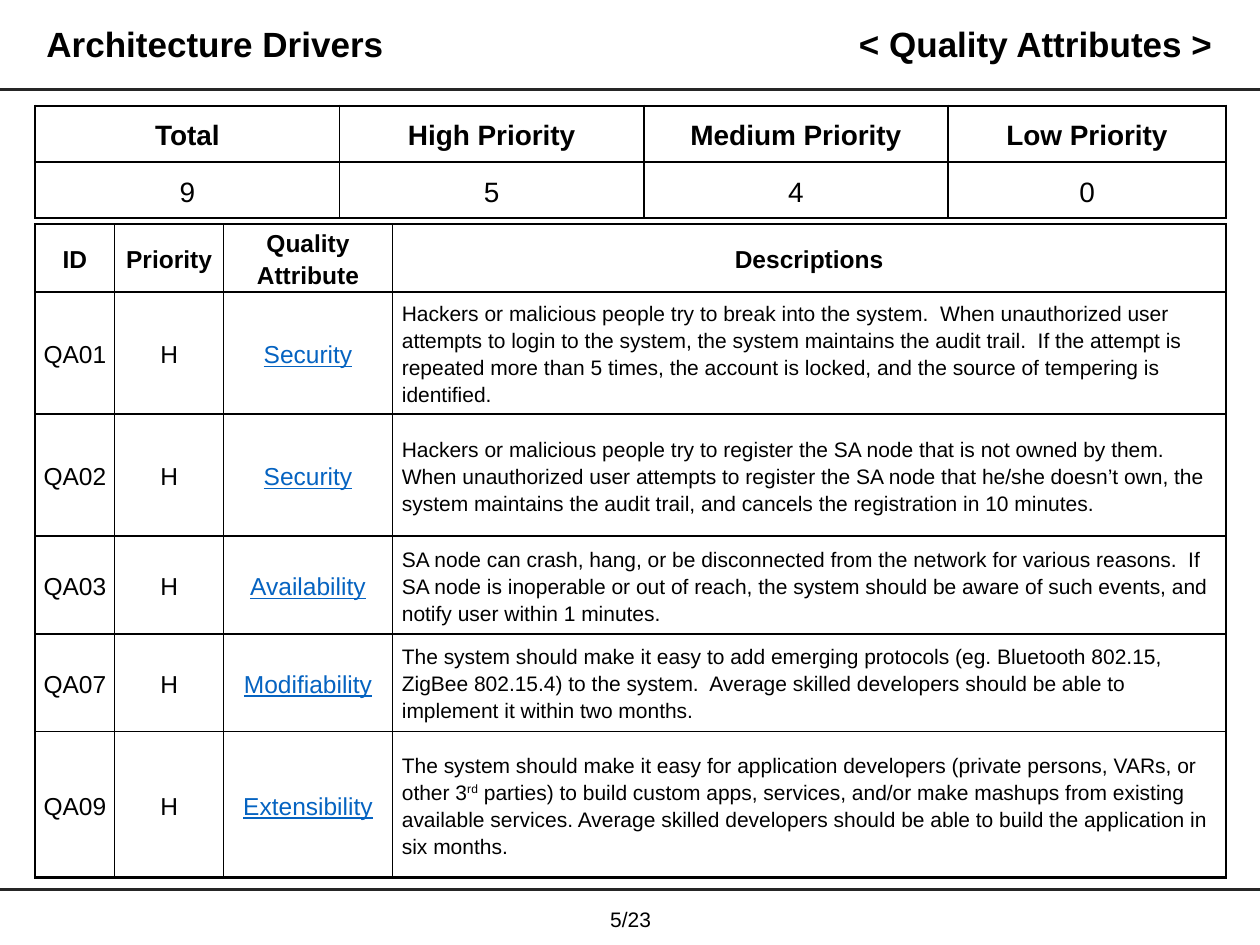
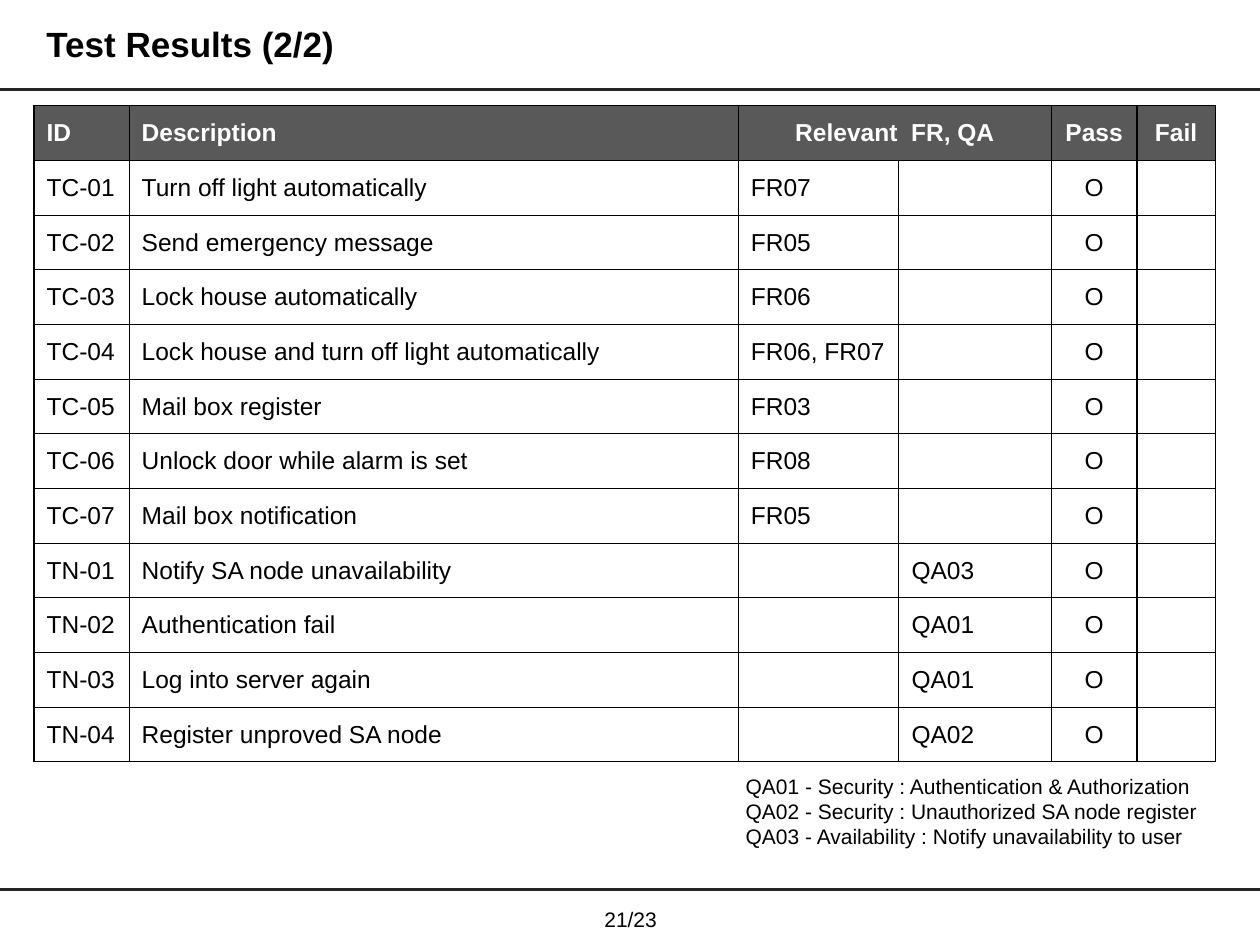
import dataclasses

import pptx
import pptx.dml.color
import pptx.enum.shapes
import pptx.enum.text
import pptx.oxml
import pptx.oxml.ns
import pptx.util

ALIGN = pptx.enum.text.PP_ALIGN
LEFT, CENTER, RIGHT = ALIGN.LEFT, ALIGN.CENTER, ALIGN.RIGHT
SLIDE_WIDTH = pptx.util.Inches(10)
SLIDE_HEIGHT = pptx.util.Inches(7.5)
GRID_COLUMNS = 100
PAGE_COUNT = 23


@dataclasses.dataclass(frozen=True)
class Theme:
    font: str = "Arial"
    ink: str = "000000"
    rule: str = "262626"
    link: str = "0563C1"
    header_fill: str = "595959"
    header_ink: str = "FFFFFF"
    title: int = 20
    summary: int = 16
    table: int = 14
    small: int = 12
    rule_width: float = 1.75


THEME = Theme()


@dataclasses.dataclass(frozen=True)
class Column:
    width: float
    align: ALIGN = LEFT
    header_align: ALIGN = CENTER
    size: int = THEME.table
    color: str = THEME.ink
    underline: bool = False
    inset: float = 1


@dataclasses.dataclass(frozen=True)
class Grid:
    outer: float
    inner: float
    inset_y: float
    spacing: float = 1
    header_size: int = THEME.table
    header_ink: str = THEME.ink
    header_fill: str = ""


def units(count):
    return round(SLIDE_WIDTH * count / GRID_COLUMNS)


def rgb(value):
    return pptx.dml.color.RGBColor.from_string(value)


def style_paragraph(paragraph, size, align=LEFT, color=THEME.ink, bold=False,
                    underline=False, spacing=1):
    paragraph.alignment = align
    paragraph.line_spacing = spacing
    for run in paragraph.runs:
        run.font.name = THEME.font
        run.font.size = pptx.util.Pt(size)
        run.font.bold = bold
        run.font.underline = underline
        run.font.color.rgb = rgb(color)


def write_with_superscripts(paragraph, text):
    first, *rest = text.split("^")
    paragraph.text = first
    for index, part in enumerate(rest):
        run = paragraph.add_run()
        run.text = part
        if index % 2 == 0:
            run.font._element.set("baseline", "30000")


def add_label(slide, text, left, top, width, height, size, inset_y=0.5,
              anchor=pptx.enum.text.MSO_ANCHOR.MIDDLE, **style):
    frame = slide.shapes.add_textbox(*map(units, (left, top, width, height))).text_frame
    frame.word_wrap = True
    frame.vertical_anchor = anchor
    frame.margin_left = frame.margin_right = units(1)
    frame.margin_top = frame.margin_bottom = units(inset_y)
    frame.text = text
    for paragraph in frame.paragraphs:
        style_paragraph(paragraph, size, **style)


def add_title(slide, text, left, width, align=LEFT):
    add_label(slide, text, left, 1, width, 5.3, THEME.title,
              align=align, bold=True, spacing=0.9)


def add_rule(slide, row):
    rule = slide.shapes.add_connector(pptx.enum.shapes.MSO_CONNECTOR.STRAIGHT,
                                      0, units(row), SLIDE_WIDTH, units(row))
    rule.line.color.rgb = rgb(THEME.rule)
    rule.line.width = pptx.util.Pt(THEME.rule_width)
    rule._element.spPr.append(pptx.oxml.parse_xml(
        f'<a:effectLst {pptx.oxml.ns.nsdecls("a")}/>'))


def add_page(deck, number):
    slide = deck.slides.add_slide(deck.slide_layouts[6])
    for row in (7.1, 70.6):
        add_rule(slide, row)
    add_label(slide, f"{number}/{PAGE_COUNT}", 46.2, 71.4, 7.7, 3.1,
              THEME.small, align=CENTER)
    return slide


def set_borders(cell, widths):
    for side, width in zip("LRTB", widths):
        cell._tc.get_or_add_tcPr().append(pptx.oxml.parse_xml(
            f'<a:ln{side} {pptx.oxml.ns.nsdecls("a")} w="{pptx.util.Pt(width)}">'
            f'<a:solidFill><a:srgbClr val="{THEME.ink}"/></a:solidFill></a:ln{side}>'))


def fill_cell(cell, text, column, grid, is_header):
    if is_header and grid.header_fill:
        cell.fill.solid()
        cell.fill.fore_color.rgb = rgb(grid.header_fill)
    else:
        cell.fill.background()
    if not text:
        return
    cell.vertical_anchor = pptx.enum.text.MSO_ANCHOR.MIDDLE
    cell.margin_left = cell.margin_right = units(column.inset)
    cell.margin_top = cell.margin_bottom = units(grid.inset_y)
    paragraph = cell.text_frame.paragraphs[0]
    write_with_superscripts(paragraph, text)
    if is_header:
        style_paragraph(paragraph, grid.header_size, column.header_align,
                        grid.header_ink, bold=True, spacing=grid.spacing)
    else:
        style_paragraph(paragraph, column.size, column.align, column.color,
                        underline=column.underline, spacing=grid.spacing)


def add_grid(slide, left, top, columns, heights, rows, grid):
    last_row, last_column = len(rows) - 1, len(columns) - 1
    table = slide.shapes.add_table(
        len(rows), len(columns), units(left), units(top),
        units(sum(column.width for column in columns)), units(sum(heights))).table
    table.first_row = table.horz_banding = False
    for index, column in enumerate(columns):
        table.columns[index].width = units(column.width)
    for r, (height, row) in enumerate(zip(heights, rows)):
        table.rows[r].height = units(height)
        for c, (column, text) in enumerate(zip(columns, row)):
            edges = (c == 0, c == last_column, r == 0, r == last_row)
            cell = table.cell(r, c)
            set_borders(cell, [grid.outer if edge else grid.inner for edge in edges])
            fill_cell(cell, text, column, grid, is_header=r == 0)
    return table


PRIORITY_COUNTS = [
    ("Total", "High Priority", "Medium Priority", "Low Priority"),
    ("9", "5", "4", "0"),
]

QUALITY_ATTRIBUTES = [
    ("ID", "Priority", "Quality Attribute", "Descriptions"),
    ("QA01", "H", "Security",
     "Hackers or malicious people try to break into the system.  When unauthorized user "
     "attempts to login to the system, the system maintains the audit trail.  If the attempt "
     "is repeated more than 5 times, the account is locked, and the source of tempering is "
     "identified."),
    ("QA02", "H", "Security",
     "Hackers or malicious people try to register the SA node that is not owned by them.  "
     "When unauthorized user attempts to register the SA node that he/she doesn’t own, the "
     "system maintains the audit trail, and cancels the registration in 10 minutes."),
    ("QA03", "H", "Availability",
     "SA node can crash, hang, or be disconnected from the network for various reasons.  If "
     "SA node is inoperable or out of reach, the system should be aware of such events, and "
     "notify user within 1 minutes."),
    ("QA07", "H", "Modifiability",
     "The system should make it easy to add emerging protocols (eg. Bluetooth 802.15, "
     "ZigBee 802.15.4) to the system.  Average skilled developers should be able to "
     "implement it within two months."),
    ("QA09", "H", "Extensibility",
     "The system should make it easy for application developers (private persons, VARs, or "
     "other 3^rd^ parties) to build custom apps, services, and/or make mashups from existing "
     "available services. Average skilled developers should be able to build the application "
     "in six months."),
]

TEST_HEADER = ("ID", "Description", "Relevant  FR, QA", "", "Pass", "Fail")
TEST_CASES = [
    ("TC-01", "Turn off light automatically", "FR07", ""),
    ("TC-02", "Send emergency message", "FR05", ""),
    ("TC-03", "Lock house automatically", "FR06", ""),
    ("TC-04", "Lock house and turn off light automatically", "FR06, FR07", ""),
    ("TC-05", "Mail box register", "FR03", ""),
    ("TC-06", "Unlock door while alarm is set", "FR08", ""),
    ("TC-07", "Mail box notification", "FR05", ""),
    ("TN-01", "Notify SA node unavailability", "", "QA03"),
    ("TN-02", "Authentication fail", "", "QA01"),
    ("TN-03", "Log into server again", "", "QA01"),
    ("TN-04", "Register unproved SA node", "", "QA02"),
]

ATTRIBUTE_LEGEND = "\n".join([
    "QA01 - Security : Authentication & Authorization",
    "QA02 - Security : Unauthorized SA node register",
    "QA03 - Availability : Notify unavailability to user",
])


def build_quality_attributes(deck):
    slide = add_page(deck, 5)
    add_title(slide, "Architecture Drivers", 2.7, 61.8)
    add_title(slide, "< Quality Attributes >", 65.9, 31.3, RIGHT)
    count_columns = [Column(width, CENTER, size=THEME.summary, inset=0.7)
                     for width in (24.15, 24.15, 24.15, 22.05)]
    add_grid(slide, 2.8, 8.4, count_columns, [4.2, 4.2], PRIORITY_COUNTS,
             Grid(1.5, 1, 0.7, 1.15, THEME.summary))
    attribute_columns = [
        Column(6.3, CENTER, inset=0.35),
        Column(8.65, CENTER, inset=0.35),
        Column(13.4, CENTER, color=THEME.link, underline=True, inset=0.35),
        Column(66.15, size=THEME.small, inset=0.75),
    ]
    add_grid(slide, 2.8, 17.8, attribute_columns, [5.1, 9.7, 9.7, 7.75, 7.75, 11.6],
             QUALITY_ATTRIBUTES, Grid(1.5, 1, 0, 1.15))


def build_test_results(deck):
    slide = add_page(deck, 21)
    add_title(slide, "Test Results (2/2)", 2.7, 85.2)
    columns = [
        Column(7.55, header_align=LEFT),
        Column(48.35, header_align=LEFT),
        Column(12.75),
        Column(12.1),
        Column(6.8, CENTER),
        Column(6.2),
    ]
    rows = [TEST_HEADER] + [(*case, "O", "") for case in TEST_CASES]
    table = add_grid(slide, 2.7, 8.4, columns, [4.18] * len(rows), rows,
                     Grid(0.75, 0.75, 1, header_ink=THEME.header_ink,
                          header_fill=THEME.header_fill))
    table.cell(0, 2).merge(table.cell(0, 3))
    add_label(slide, ATTRIBUTE_LEGEND, 58.2, 60.4, 38.6, 8.7, THEME.small, inset_y=1,
              anchor=pptx.enum.text.MSO_ANCHOR.TOP)


def main():
    deck = pptx.Presentation()
    deck.slide_width = SLIDE_WIDTH
    deck.slide_height = SLIDE_HEIGHT
    build_quality_attributes(deck)
    build_test_results(deck)
    deck.save("out.pptx")


if __name__ == "__main__":
    main()
